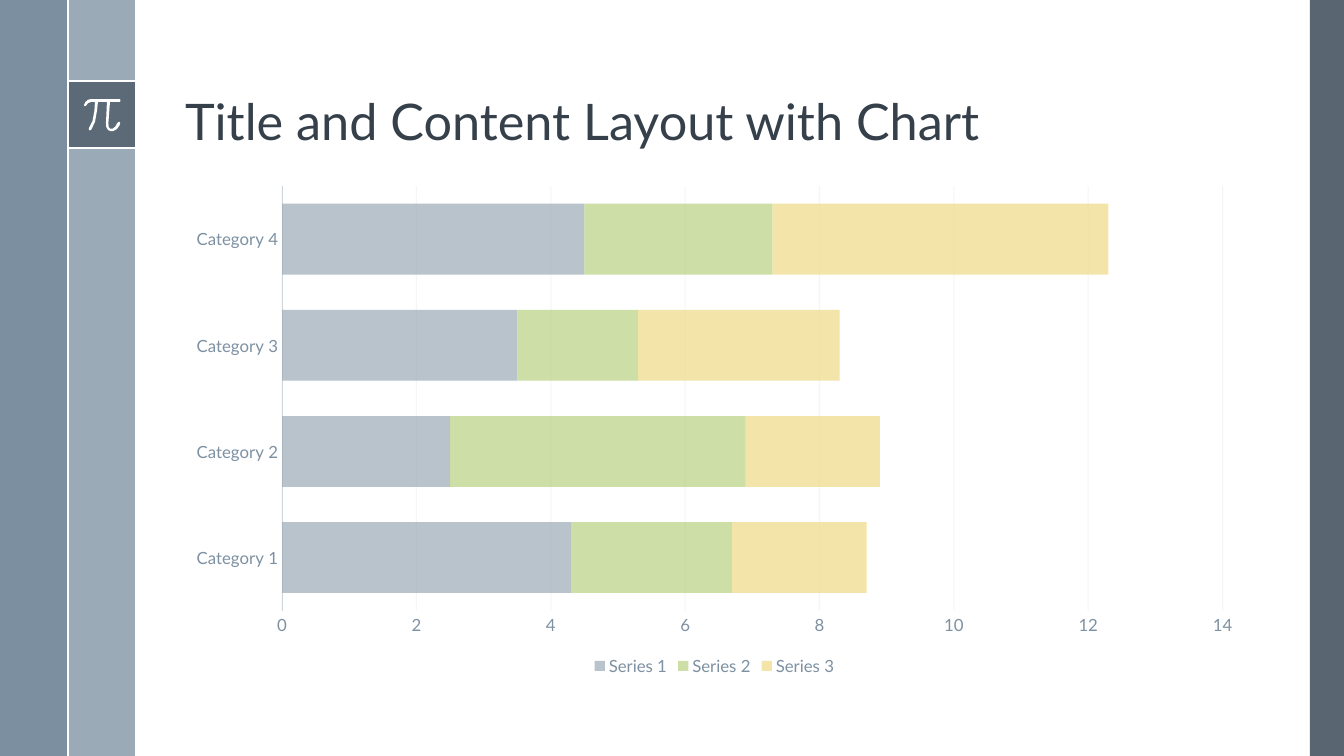
from lxml import etree
from pptx import Presentation
from pptx.chart.data import CategoryChartData
from pptx.dml.color import RGBColor
from pptx.enum.chart import XL_CHART_TYPE, XL_LEGEND_POSITION, XL_TICK_MARK
from pptx.enum.shapes import MSO_CONNECTOR, MSO_SHAPE
from pptx.enum.text import MSO_ANCHOR, MSO_AUTO_SIZE, PP_ALIGN
from pptx.oxml.ns import qn
from pptx.util import Pt

RECT, LINE = MSO_SHAPE.RECTANGLE, MSO_CONNECTOR.STRAIGHT
STACKED, BOTTOM = XL_CHART_TYPE.BAR_STACKED, XL_LEGEND_POSITION.BOTTOM
NONE = XL_TICK_MARK.NONE
WIDE, HIGH = 1344, 756
PX = 12192000 / WIDE
FONT = "Lato"

# Outline of the pi sign, in pixels from its top left corner
SIGN = [
    (35.5, 0), (7, 0), (4, 0.8), (1.5, 3), (0, 6), (0.5, 7), (1, 7.2),
    (2, 6.8), (4, 4.2), (7, 3), (11, 3), (10.4, 12), (8.5, 22), (5, 29),
    (4.8, 30.5), (5.6, 31.3), (6.6, 31.2), (7.2, 30.8), (11, 23), (13, 12),
    (14, 3), (23, 3), (22, 24), (22.3, 28), (24, 31), (27, 32.2),
    (29.5, 32), (33, 30), (35.5, 26.5), (36.3, 24), (35.6, 23), (34.4, 23),
    (33.3, 24), (31.5, 27.5), (28.5, 29.8), (26, 29.6), (24.7, 28),
    (24.4, 24), (26, 3), (35.5, 3), (36.5, 2.2), (36.5, 0.8)]


def emu(*sizes):
    return [round(size * PX) for size in sizes]


def paint(color, code):
    color.rgb = RGBColor.from_string(code)


def assign(item, values):
    for name, value in values.items():
        setattr(item, name, value)


def fill(form, code, alpha=100):
    form.fill.solid()
    paint(form.fill.fore_color, code)
    fade(form.fill.fore_color, alpha)


def fade(color, alpha):
    """Set opacity in percent on the colour's XML element."""
    if alpha < 100:
        node = color._color._xClr
        etree.SubElement(node, qn("a:alpha")).set("val", str(alpha * 1000))


def style(font, size, code):
    assign(font, {"name": FONT, "size": Pt(size)})
    paint(font.color, code)


def plain(shape, code, alpha=100):
    shape.shadow.inherit = False
    fill(shape, code, alpha)
    shape.line.fill.background()


def panel(slide, box, code, alpha=100):
    plain(slide.shapes.add_shape(RECT, *emu(*box)), code, alpha)


def rule(slide, *ends):
    line = slide.shapes.add_connector(LINE, *emu(*ends))
    line.line.width = Pt(1.5)
    paint(line.line.color, "FFFFFF")
    etree.SubElement(line._element.spPr, qn("a:effectLst"))


def badge(slide, box):
    """Dark tile between two rules, with the pi sign in it."""
    left, top, wide, high = box
    panel(slide, box, "475562", 75)
    for y in (top, top + high):
        rule(slide, left, y, left + wide, y)
    spots = [(round(x * 10), round(y * 10)) for x, y in SIGN]
    pen = slide.shapes.build_freeform(*spots[0], scale=PX / 10)
    pen.add_line_segments(spots[1:])
    plain(pen.convert_to_shape(*emu(left + 16, top + 18)), "FFFFFF")


def frame(slide, box):
    """Side bands of the slide."""
    left, top, wide, high = box
    band, edge = 68, 34
    panel(slide, (left + wide - edge, top, edge, high), "475562", 90)
    panel(slide, (left + band, top, band - 1, high), "9BAAB7")
    panel(slide, (left, top, band, high), "6A8093", 88)
    badge(slide, (left + band, top + 81, band - 1, 67))
    rule(slide, left + band, top, left + band, top + high)


def head(slide, box, text):
    title = slide.shapes.title
    assign(title, dict(zip(("left", "top", "width", "height"), emu(*box))))
    assign(title.text_frame, {
        "text": text, "word_wrap": True, "auto_size": MSO_AUTO_SIZE.NONE,
        "vertical_anchor": MSO_ANCHOR.BOTTOM})
    para = title.text_frame.paragraphs[0]
    assign(para, {"alignment": PP_ALIGN.LEFT, "line_spacing": 0.9})
    style(para.runs[0].font, 36, "35404A")


def graph(slide, box, names, rows):
    """Stacked bars; each row is a series name, its colour and values."""
    data = CategoryChartData()
    data.categories = names
    for name, _, values in rows:
        data.add_series(name, values)
    chart = slide.shapes.add_chart(STACKED, *emu(*box), data).chart
    style(chart.font, 10, "465562")
    assign(chart, {"has_title": False, "has_legend": True})
    assign(chart.legend, {"position": BOTTOM, "include_in_layout": False})
    style(chart.legend.font, 12, "7D91A2")

    # Bars
    plot = chart.plots[0]
    assign(plot, {"gap_width": 50, "overlap": 100,
                  "vary_by_categories": False})
    for part, (_, code, _) in zip(plot.series, rows):
        fill(part.format, code, 70)
        part.invert_if_negative = False

    # Axes
    cat, val = chart.category_axis, chart.value_axis
    for axis in (cat, val):
        assign(axis, {"major_tick_mark": NONE, "minor_tick_mark": NONE})
        style(axis.tick_labels.font, 12, "7D91A2")
    assign(val, {"minimum_scale": 0, "maximum_scale": 14, "major_unit": 2,
                 "has_major_gridlines": True})
    val.format.line.fill.background()
    grid = val.major_gridlines.format.line
    for line, code in ((cat.format.line, "CDD5DB"), (grid, "E1E6EA")):
        line.width = Pt(0.75)
        paint(line.color, code)
    fade(grid.color, 40)


deck = Presentation()
assign(deck, dict(zip(("slide_width", "slide_height"), emu(WIDE, HIGH))))
page = deck.slides.add_slide(deck.slide_layouts[5])
frame(page, (0, 0, WIDE, HIGH))
head(page, (175, 19, 1079, 137), "Title and Content Layout with Chart")
graph(page, (175, 176, 1079, 504),
      [f"Category {n}" for n in range(1, 5)],
      [("Series 1", "9BAAB7", (4.3, 2.5, 3.5, 4.5)),
       ("Series 2", "B8D082", (2.4, 4.4, 1.8, 2.8)),
       ("Series 3", "EFDB85", (2, 2, 3, 5))])
deck.save("out.pptx")
